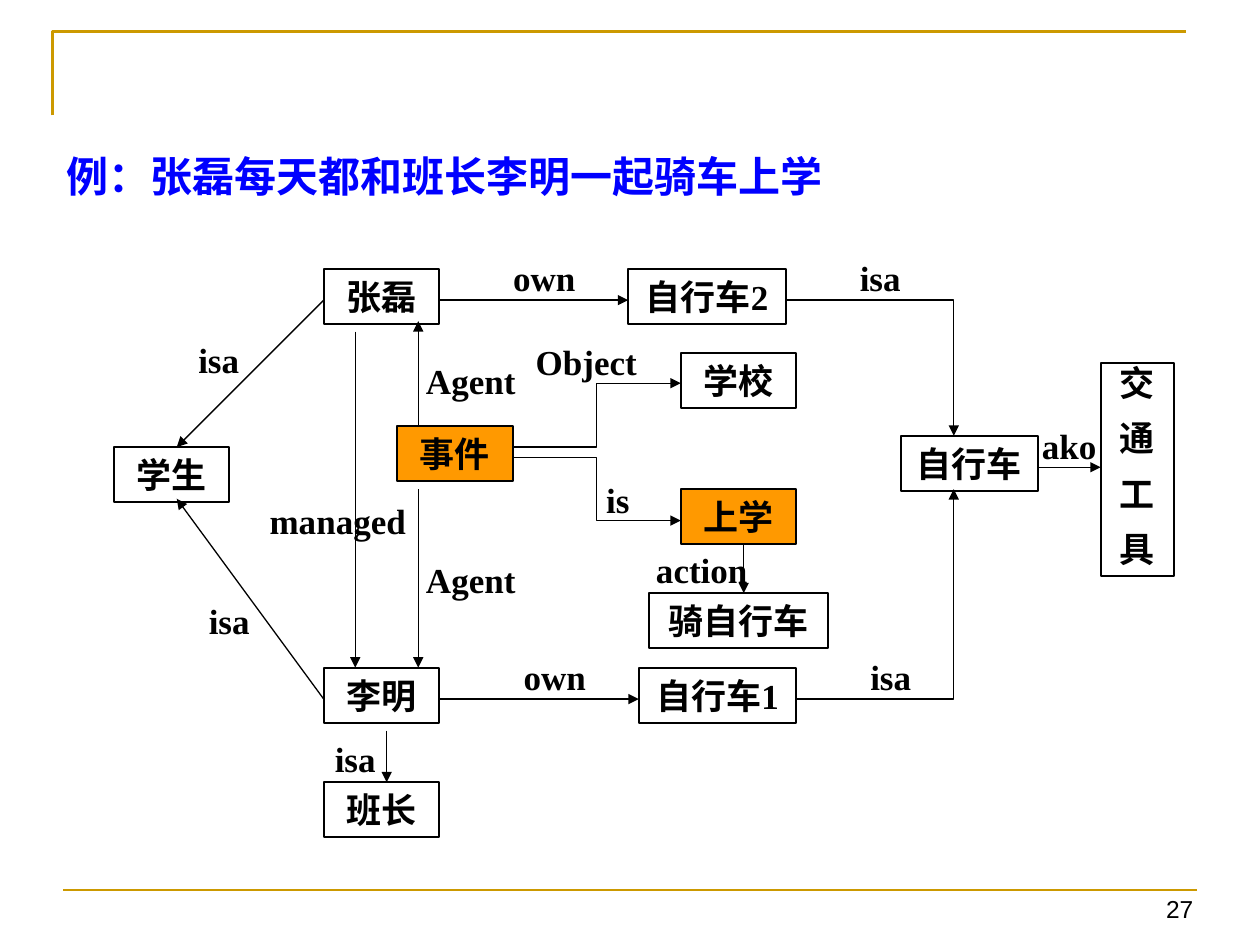
from lxml.etree import SubElement
from pptx import Presentation
from pptx.dml.color import RGBColor
from pptx.enum.shapes import MSO_CONNECTOR, MSO_SHAPE
from pptx.enum.text import MSO_ANCHOR, PP_ALIGN
from pptx.oxml.ns import qn
from pptx.util import Pt

BLACK, WHITE, BLUE, GOLD, ORANGE = "000000", "FFFFFF", "0000FF", "CC9900", "FF9900"
NODE_HEIGHT = 31.5

# Nodes: text, left, top, width, fill
NODES = [
    ("张磊", 120, 10.5, 66, None),
    ("李明", 120, 238.5, 66, None),
    ("班长", 120, 304, 66, None),
    ("学生", 0, 112.5, 66, None),
    ("学校", 324, 58.5, 66, None),
    ("骑自行车", 306, 196, 102, None),
    ("自行车", 450, 106, 78, None),
    ("自行车2", 294, 10.5, 90, None),
    ("自行车1", 300, 238.5, 90, None),
    ("事件", 162, 100.5, 66, ORANGE),
    ("上学", 324, 136.5, 66, ORANGE),
]

# Arrows: the points each one passes through
ARROWS = [
    [(186, 28.5), (294, 28.5)],
    [(186, 256.5), (300, 256.5)],
    [(384, 28.5), (480, 28.5), (480, 106)],
    [(390, 256.5), (480, 256.5), (480, 136.5)],
    [(528, 124), (564, 124)],
    [(174, 100.5), (174, 40.5)],
    [(174, 136.5), (174, 238.5)],
    [(138, 46.5), (138, 238.5)],
    [(120, 28.5), (36, 112.5)],
    [(120, 256.5), (36, 142)],
    [(156, 274.5), (156, 304)],
    [(228, 112.5), (276, 112.5), (276, 76), (324, 76)],
    [(228, 118.5), (276, 118.5), (276, 154.5), (324, 154.5)],
    [(360, 168), (360, 196)],
]

# Relation labels: text, left, top, width
LABELS = [
    ("own", 198, 0, 96),
    ("own", 204, 228, 96),
    ("isa", 414, 0, 48),
    ("isa", 420, 228, 48),
    ("isa", 36, 46.5, 48),
    ("isa", 42, 196, 48),
    ("isa", 114, 274.5, 48),
    ("Agent", 156, 58.5, 96),
    ("Agent", 156, 172.5, 96),
    ("managed", 80, 138.5, 96),
    ("Object", 222, 48, 96),
    ("is", 240, 126.5, 96),
    ("action", 288, 166.5, 96),
    ("ako", 522, 96, 48),
]


def color(value):
    return RGBColor.from_string(value)


def style_line(shape, value, width):
    shape.line.color.rgb = color(value)
    shape.line.width = Pt(width)


def write(shape, lines, size, font="Times New Roman", value=BLACK, bold=True,
          align=PP_ALIGN.CENTER, anchor=MSO_ANCHOR.MIDDLE, wrap=True,
          spacing=1.0, gap=0):
    frame = shape.text_frame
    frame.word_wrap = wrap
    frame.vertical_anchor = anchor
    for index, line in enumerate(lines):
        paragraph = frame.add_paragraph() if index else frame.paragraphs[0]
        paragraph.text = line
        paragraph.alignment = align
        paragraph.line_spacing = spacing
        paragraph.space_before = Pt(gap if index else 0)
        paragraph.font.name = font
        paragraph.font.size = Pt(size)
        paragraph.font.bold = bold
        paragraph.font.color.rgb = color(value)


def add_text(slide, lines, left, top, width, height, size, **style):
    shape = slide.shapes.add_textbox(Pt(left), Pt(top), Pt(width), Pt(height))
    write(shape, lines, size, **style)


def add_line(slide, start, end, value, width):
    connector = slide.shapes.add_connector(
        MSO_CONNECTOR.STRAIGHT, *(Pt(number) for number in (*start, *end)))
    style_line(connector, value, width)
    SubElement(connector._element.spPr, qn("a:effectLst"))
    return connector


def add_path(slide, points, value, width):
    points = [(Pt(x), Pt(y)) for x, y in points]
    builder = slide.shapes.build_freeform(*points[0])
    builder.add_line_segments(points[1:], close=False)
    shape = builder.convert_to_shape()
    shape.fill.background()
    shape.shadow.inherit = False
    style_line(shape, value, width)
    return shape


def add_arrow(slide, points):
    if len(points) == 2:
        shape = add_line(slide, *points, BLACK, 0.75)
    else:
        shape = add_path(slide, points, BLACK, 0.75)
    line = shape._element.spPr.find(qn("a:ln"))
    SubElement(line, qn("a:tailEnd"), type="triangle")


def add_node(slide, lines, left, top, width, height, fill=None, **style):
    shape = slide.shapes.add_shape(
        MSO_SHAPE.RECTANGLE, Pt(left), Pt(top), Pt(width), Pt(height))
    shape.shadow.inherit = False
    if fill:
        shape.fill.solid()
        shape.fill.fore_color.rgb = color(fill)
    else:
        shape.fill.background()
    style_line(shape, BLACK, 1.25)
    write(shape, lines, 20, wrap=False, **style)


def add_frame(slide, left, top, width, height):
    # Corner rule above, straight rule and page number below
    add_path(slide, [(left, top + 48), (left, top), (left + width, top)], GOLD, 1.5)
    bottom = top + height
    add_line(slide, (left + 6, bottom), (left + 6 + width, bottom), GOLD, 1.5)
    add_text(slide, ["27"], left + 585.5, bottom - 1.5, 73.5, 24.5, 14,
             font="Arial", bold=False, align=PP_ALIGN.RIGHT)


def add_title(slide, left, top, width, height):
    add_text(slide, ["例：张磊每天都和班长李明一起骑车上学"], left, top, width, height, 24,
             font="Arial", value=BLUE, align=PP_ALIGN.LEFT,
             anchor=MSO_ANCHOR.TOP, spacing=1.2)


def add_network(slide, left, top):
    for text, x, y, width, fill in NODES:
        add_node(slide, [text], left + x, top + y, width, NODE_HEIGHT, fill)
    # Upright node, one character a line
    add_node(slide, list("交通工具"), left + 564, top + 64.5, 42, 121.5,
             spacing=0.8, gap=12.5)
    for points in ARROWS:
        add_arrow(slide, [(left + x, top + y) for x, y in points])
    for text, x, y, width in LABELS:
        add_text(slide, [text], left + x, top + y, width, NODE_HEIGHT, 20)


def main():
    presentation = Presentation()
    presentation.slide_width, presentation.slide_height = Pt(720), Pt(540)
    slide = presentation.slides.add_slide(presentation.slide_layouts[6])
    slide.background.fill.solid()
    slide.background.fill.fore_color.rgb = color(WHITE)
    add_frame(slide, 30, 18, 648, 490.5)
    add_title(slide, 31, 77, 612, 50.5)
    add_network(slide, 65, 143)
    presentation.save("out.pptx")


if __name__ == "__main__":
    main()
